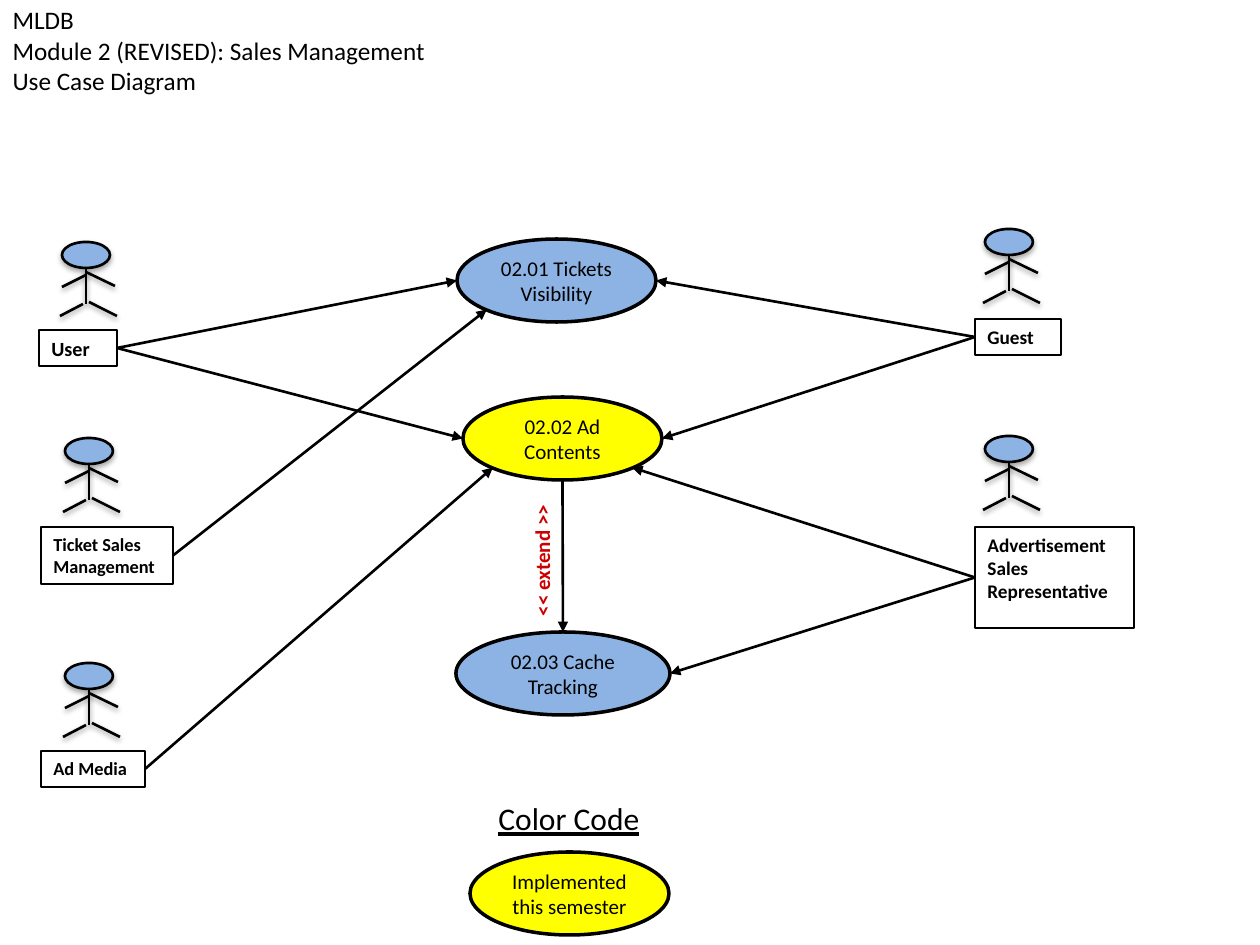
from lxml import etree
from pptx import Presentation, util as u
from pptx.dml.color import RGBColor
from pptx.enum import shapes as es, text as et
from pptx.oxml import parse_xml
from pptx.oxml.ns import nsdecls, qn

THEME = dict(
    font="Calibri", ink="000000", blue="8CB3E3", yellow="FFFF00", red="CC0000", paper="FFFFFF",
    title=14.4, case=12, heading=18, thin=1.5, thick=2,
)
PX = u.Inches(1) / 126
SHADOW = (
    '<a:effectLst %s><a:outerShdw blurRad="40000" dist="%d" dir="5400000" rotWithShape="0">'
    '<a:srgbClr val="000000"><a:alpha val="%d"/></a:srgbClr></a:outerShdw></a:effectLst>'
)


def px(*lengths):
    return [round(n * PX) for n in lengths]


def write(sp, content, size, color="ink", align=et.PP_ALIGN.LEFT, anchor=et.MSO_ANCHOR.TOP,
          wrap=True, **font):
    """Fill a shape's text frame, one paragraph per line of content."""
    tf = sp.text_frame
    tf.text = content
    tf.word_wrap, tf.vertical_anchor = wrap, anchor
    for p in tf.paragraphs:
        p.alignment = align
        for r in p.runs:
            r.font.color.rgb = RGBColor.from_string(THEME[color])
            for key, value in dict(name=THEME["font"], size=u.Pt(size), **font).items():
                setattr(r.font, key, value)


prs = Presentation()
prs.slide_width, prs.slide_height = u.Inches(10), u.Inches(7.5)
s = prs.slides.add_slide(prs.slide_layouts[5])

title = s.shapes.title
title.left, title.top, title.width, title.height = px(0, 30, 546, 73)
write(title, "MLDB\vModule 2 (REVISED): Sales Management\nUse Case Diagram",
      THEME["title"], anchor=et.MSO_ANCHOR.MIDDLE)
title.text_frame.auto_size = et.MSO_AUTO_SIZE.NONE
title.text_frame.margin_bottom = px(39)[0]
for p in title.text_frame.paragraphs:
    p.space_before = u.Pt(0)

# Actors: head corner, label box, label, label size
actors = {
    "user": ((62, 242), (39, 330, 78, 36), "User", 11.5),
    "guest": ((985, 229), (975, 319, 86, 36), "Guest", 11),
    "ad_rep": ((985, 436), (975, 527, 159, 101), "Advertisement Sales Representative", 11),
    "ticket_sales": ((65, 438), (41, 527, 132, 57), "Ticket Sales Management", 10.5),
    "ad_media": ((65, 663), (41, 751, 104, 36), "Ad Media", 10.5),
}
# Body, arms and legs, measured from the corner of the head
limbs = [(24, 26, 24, 62), (24, 33, 0, 45), (21, 62, -2, 74), (24, 30, 53, 44), (27, 60, 55, 74)]
boxes = {}
for name, ((x, y), box, label, size) in actors.items():
    boxes[name] = box
    parts = s.shapes.add_group_shape().shapes
    head = parts.add_shape(es.MSO_SHAPE.OVAL, *px(x, y, 48, 26))
    head.fill.solid()
    head.fill.fore_color.rgb = RGBColor.from_string(THEME["blue"])
    figure = [head]
    for x1, y1, x2, y2 in limbs:
        figure.append(parts.add_connector(es.MSO_CONNECTOR.STRAIGHT,
                                          *px(x + x1, y + y1, x + x2, y + y2)))
    for part in figure:
        part.line.color.rgb = RGBColor.from_string(THEME["ink"])
        part.line.width = u.Pt(THEME["thin"])
        dist, alpha = (23000, 35000) if part is head else (20000, 38000)
        part._element.spPr.append(parse_xml(SHADOW % (nsdecls("a"), dist, alpha)))
    sp = parts.add_shape(es.MSO_SHAPE.RECTANGLE, *px(*box))
    sp.shadow.inherit = False
    sp.fill.background()
    sp.line.color.rgb = RGBColor.from_string(THEME["ink"])
    sp.line.width = u.Pt(THEME["thin"])
    write(sp, label, size, bold=True)

# Use cases and the colour key
cases = {
    "tickets": ((457, 239, 199, 83), "blue", "02.01 Tickets Visibility"),
    "contents": ((463, 397, 199, 83), "yellow", "02.02 Ad Contents"),
    "cache": ((456, 632, 214, 83), "blue", "02.03 Cache Tracking"),
    "key": ((470, 852, 199, 83), "yellow", "Implemented this semester"),
}
for name, (box, color, label) in cases.items():
    boxes[name] = box
    sp = s.shapes.add_shape(es.MSO_SHAPE.OVAL, *px(*box))
    sp.shadow.inherit = False
    sp.fill.solid()
    sp.fill.fore_color.rgb = RGBColor.from_string(THEME[color])
    sp.line.color.rgb = RGBColor.from_string(THEME["ink"])
    sp.line.width = u.Pt(THEME["thick"])
    write(sp, label, THEME["case"], align=et.PP_ALIGN.CENTER, anchor=et.MSO_ANCHOR.MIDDLE)

heading = s.shapes.add_textbox(*px(486, 793, 168, 50))
write(heading, "Color Code", THEME["heading"], wrap=False, underline=True)

extend = s.shapes.add_shape(es.MSO_SHAPE.RECTANGLE, *px(464, 537, 144, 39))
extend.rotation = 270
extend.shadow.inherit = False
extend.fill.background()
extend.line.color.rgb = RGBColor.from_string(THEME["paper"])
extend.line.width = u.Pt(THEME["thin"])
write(extend, "<< extend >>", THEME["case"], color="red", bold=True)
for side in ("left", "top", "right", "bottom"):
    setattr(extend.text_frame, f"margin_{side}", u.Inches(0.1))

# Arrows run between edge points, given as fractions of each box
edges = dict(left=(0, 0.5), right=(1, 0.5), bottom=(0.5, 1), top=(0.5, 0),
             lower_left=(0.15, 0.85), lower_right=(0.85, 0.85))
arrows = [
    ("user", "right", "tickets", "left"),
    ("user", "right", "contents", "left"),
    ("guest", "left", "tickets", "right"),
    ("guest", "left", "contents", "right"),
    ("ad_rep", "left", "contents", "lower_right"),
    ("ad_rep", "left", "cache", "right"),
    ("ticket_sales", "right", "tickets", "lower_left"),
    ("ad_media", "right", "contents", "lower_left"),
    ("contents", "bottom", "cache", "top"),
]
for source, out, target, into in arrows:
    ends = []
    for name, edge in ((source, out), (target, into)):
        x, y, w, h = boxes[name]
        fx, fy = edges[edge]
        ends += [x + w * fx, y + h * fy]
    arrow = s.shapes.add_connector(es.MSO_CONNECTOR.STRAIGHT, *px(*ends))
    arrow.line.color.rgb = RGBColor.from_string(THEME["ink"])
    arrow.line.width = u.Pt(THEME["thin"])
    etree.SubElement(arrow.line._get_or_add_ln(), qn("a:tailEnd"), type="triangle")
    etree.SubElement(arrow._element.spPr, qn("a:effectLst"))

prs.save("out.pptx")
